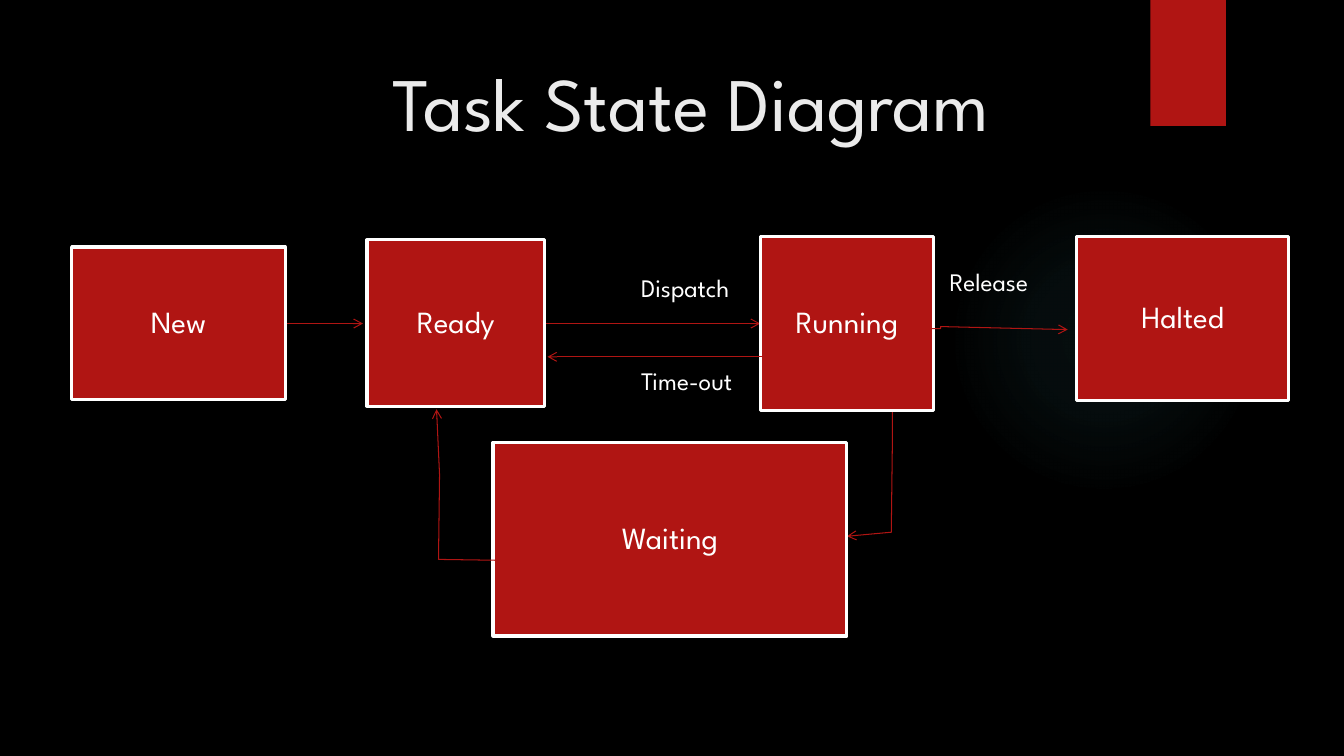
from dataclasses import dataclass
from typing import NamedTuple

from lxml import etree
from pptx import Presentation
from pptx import util as u
from pptx.dml.color import RGBColor
from pptx.enum import shapes, text
from pptx.oxml import parse_xml
from pptx.oxml.ns import nsdecls, qn


@dataclass(frozen=True)
class Theme:
    font: str = "League Spartan"
    back: str = "000000"
    red: str = "B01513"
    white: str = "FFFFFF"
    title: str = "EBEBEB"
    glow: str = "50B9C1"
    title_size: float = 54
    state_size: float = 22
    label_size: float = 18
    border: float = 2.25
    arrow: float = 0.75


class State(NamedTuple):
    name: str
    left: float
    top: float
    width: float
    height: float


class Label(NamedTuple):
    name: str
    left: float
    top: float


Route = list[tuple[float, float]]

T = Theme()

STATES = [
    State("New", 0.71, 2.45, 2.12, 1.51),
    State("Ready", 3.64, 2.38, 1.76, 1.65),
    State("Running", 7.54, 2.35, 1.72, 1.72),
    State("Waiting", 4.89, 4.39, 3.51, 1.92),
    State("Halted", 10.68, 2.35, 2.1, 1.62),
]
# Routes beneath the state boxes: admit, dispatch, wait
ROUTES_BELOW: list[Route] = [
    [(2.83, 3.21), (3.6, 3.21)],
    [(5.39, 3.21), (7.54, 3.21)],
    [(8.85, 4.07), (8.85, 4.44), (8.84, 5.28), (8.4, 5.32)],
]
# Routes that cross a box border: release, wake up, time-out
ROUTES_ABOVE: list[Route] = [
    [(9.11, 3.26), (9.33, 3.26), (9.33, 3.24), (10.59, 3.27)],
    [(5.7, 5.57), (4.35, 5.55), (4.36, 4.71), (4.33, 4.06)],
    [(8, 3.54), (5.43, 3.54)],
]
LABELS = [
    Label("Dispatch", 6.26, 2.65),
    Label("Time-out", 6.26, 3.58),
    Label("Release", 9.32, 2.59),
]
GLOW_STOPS = [(0, 7), (36, 6), (69, 0)]  # position and opacity, percent


def rgb(color: str) -> RGBColor:
    return RGBColor.from_string(color)


def inches(*values: float) -> list[u.Length]:
    return [u.Inches(v) for v in values]


def write(tf, words: str, size: float, color: str, align=text.PP_ALIGN.LEFT):
    tf.word_wrap = True
    tf.text = words
    p = tf.paragraphs[0]
    p.alignment = align
    font = p.runs[0].font
    font.name, font.size = T.font, u.Pt(size)
    font.color.rgb = rgb(color)
    return p


def add_plain(s, kind, box: tuple, color: str):
    sp = s.shapes.add_shape(kind, *inches(*box))
    sp.shadow.inherit = False
    sp.fill.solid()
    sp.fill.fore_color.rgb = rgb(color)
    sp.line.fill.background()
    return sp


def add_glow(s) -> None:
    sp = add_plain(s, shapes.MSO_SHAPE.OVAL, (9.41, 1.83, 3.08, 3.08), T.glow)
    stops = "".join(
        f'<a:gs pos="{pos * 1000}"><a:srgbClr val="{T.glow}">'
        f'<a:alpha val="{alpha * 1000}"/></a:srgbClr></a:gs>'
        for pos, alpha in GLOW_STOPS)
    grad = parse_xml(
        f'<a:gradFill {nsdecls("a")}><a:gsLst>{stops}</a:gsLst><a:path path="circle">'
        '<a:fillToRect l="50000" t="50000" r="50000" b="50000"/></a:path></a:gradFill>')
    props = sp._element.spPr
    props.replace(props.find(qn("a:solidFill")), grad)


def add_state(s, state: State) -> None:
    sp = add_plain(s, shapes.MSO_SHAPE.RECTANGLE, state[1:], T.red)
    sp.line.color.rgb = rgb(T.white)
    sp.line.width = u.Pt(T.border)
    tf = sp.text_frame
    tf.vertical_anchor = text.MSO_ANCHOR.MIDDLE
    tf.margin_left = tf.margin_right = tf.margin_top = tf.margin_bottom = u.Inches(0.17)
    p = write(tf, state.name, T.state_size, T.white, text.PP_ALIGN.CENTER)
    p.line_spacing = 0.9


def add_route(s, route: Route) -> None:
    start, *rest = [tuple(inches(*point)) for point in route]
    if len(rest) == 1:
        sp = s.shapes.add_connector(shapes.MSO_CONNECTOR.STRAIGHT, *start, *rest[0])
    else:
        builder = s.shapes.build_freeform(*start)
        builder.add_line_segments(rest, close=False)
        sp = builder.convert_to_shape()
        sp.fill.background()
    sp.line.color.rgb = rgb(T.red)
    sp.line.width = u.Pt(T.arrow)
    props = sp._element.spPr
    etree.SubElement(props.find(qn("a:ln")), qn("a:tailEnd"), type="arrow")
    etree.SubElement(props, qn("a:effectLst"))


def add_label(s, label: Label) -> None:
    sp = s.shapes.add_textbox(*inches(label.left, label.top, 1.47, 0.4))
    write(sp.text_frame, label.name, T.label_size, T.white)
    sp.text_frame.auto_size = text.MSO_AUTO_SIZE.SHAPE_TO_FIT_TEXT


prs = Presentation()
prs.slide_width, prs.slide_height = inches(13.33, 7.5)
s = prs.slides.add_slide(prs.slide_layouts[5])

# Background, glow and ribbon
s.background.fill.solid()
s.background.fill.fore_color.rgb = rgb(T.back)
add_glow(s)
add_plain(s, shapes.MSO_SHAPE.RECTANGLE, (11.41, 0, 0.75, 1.25), T.red)

# Title
title = s.shapes.title
title.left, title.top, title.width, title.height = inches(0.71, 0.5, 12.29, 1.53)
title.text_frame.vertical_anchor = text.MSO_ANCHOR.TOP
write(title.text_frame, "Task State Diagram", T.title_size, T.title, text.PP_ALIGN.CENTER)

# State diagram
for route in ROUTES_BELOW:
    add_route(s, route)
for state in STATES:
    add_state(s, state)
for route in ROUTES_ABOVE:
    add_route(s, route)
for label in LABELS:
    add_label(s, label)

prs.save("out.pptx")
